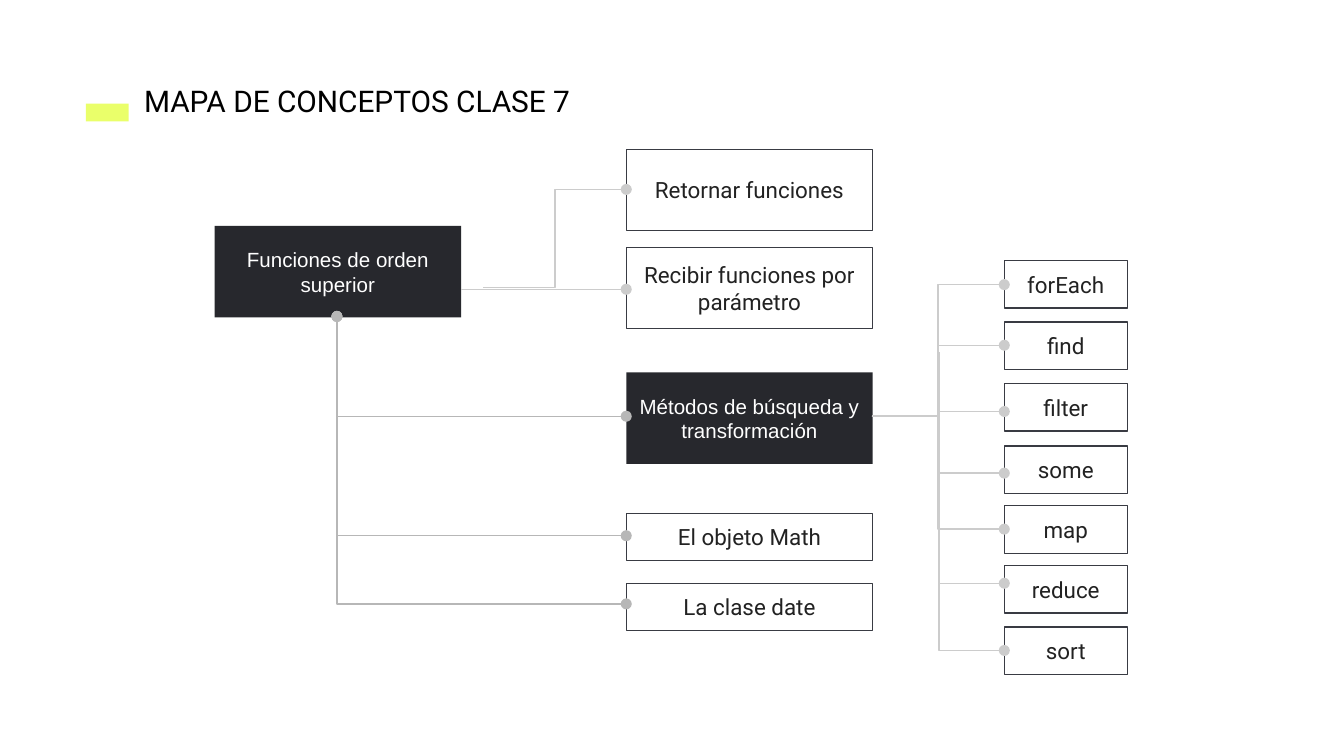
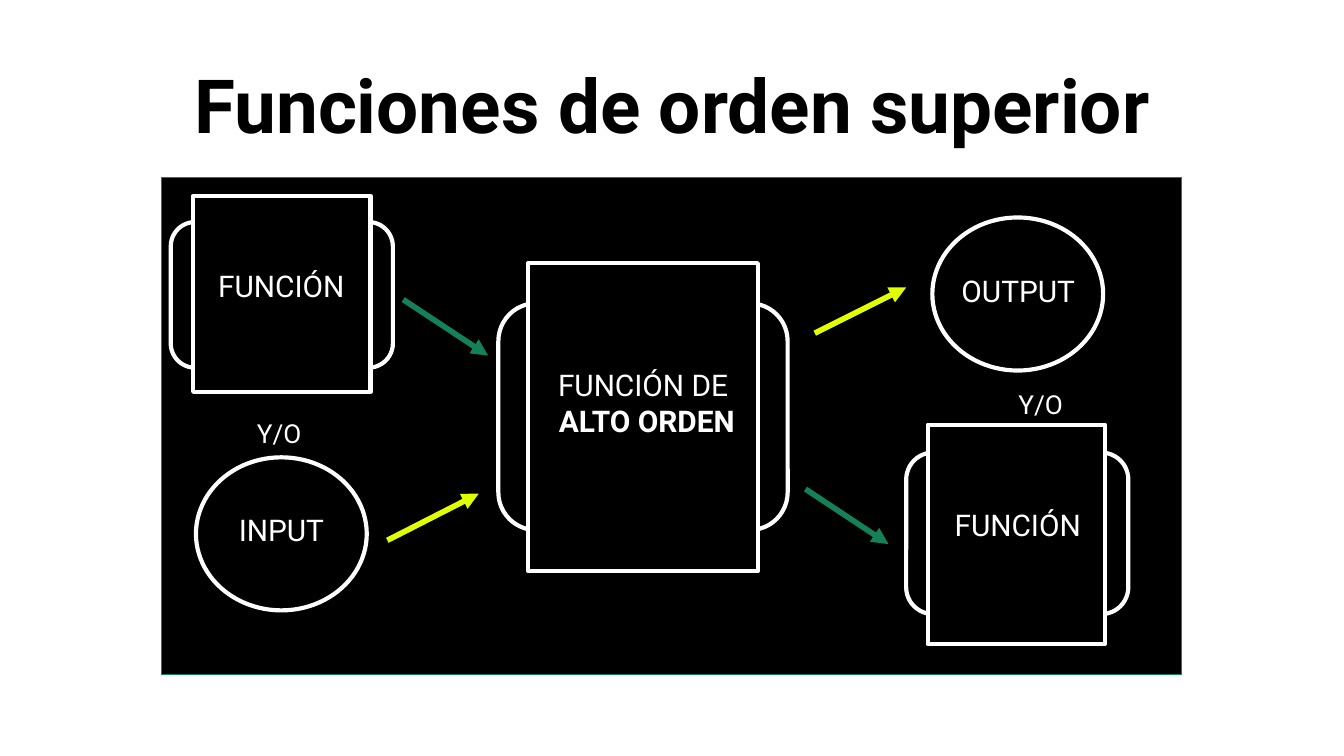
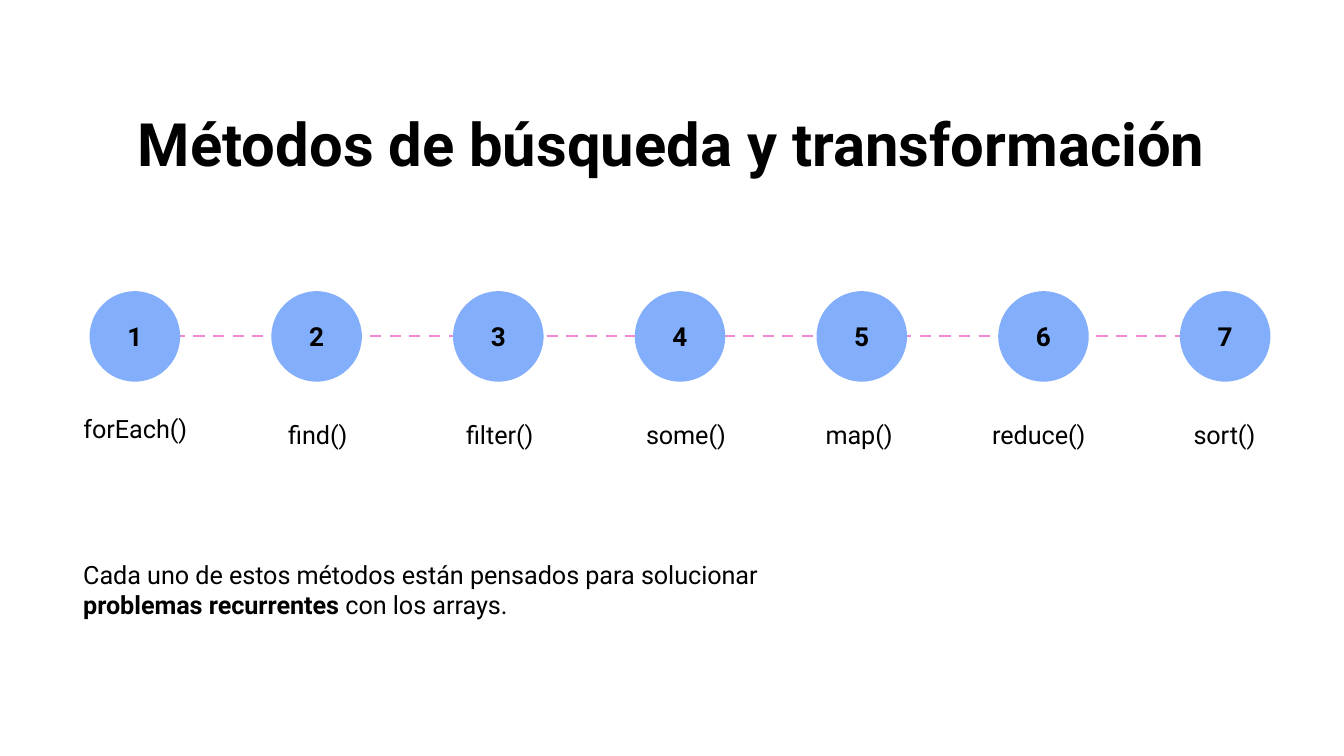
"""Build three slides on higher-order functions and array methods."""
from lxml import etree
from pptx import Presentation
from pptx.dml.color import RGBColor
from pptx.enum import dml, shapes, text
from pptx.oxml.ns import qn
from pptx.util import Pt

BLACK = RGBColor(0x00, 0x00, 0x00)
WHITE = RGBColor(0xFF, 0xFF, 0xFF)
LIME = RGBColor(0xEA, 0xFF, 0x6A)
DARK = RGBColor(0x27, 0x28, 0x2D)
BORDER = RGBColor(0x39, 0x3B, 0x43)
INK = RGBColor(0x22, 0x22, 0x22)
PALE_GRAY = RGBColor(0xCC, 0xCC, 0xCC)
GRAY = RGBColor(0xB7, 0xB7, 0xB7)
GREEN = RGBColor(0x15, 0x81, 0x58)
YELLOW = RGBColor(0xE0, 0xFF, 0x00)
BLUE = RGBColor(0x83, 0xAE, 0xFB)
PINK = RGBColor(0xEF, 0x89, 0xD2)

SHAPE = shapes.MSO_SHAPE
CENTER, LEFT = text.PP_ALIGN.CENTER, text.PP_ALIGN.LEFT
TOP, MIDDLE = text.MSO_ANCHOR.TOP, text.MSO_ANCHOR.MIDDLE


def box(s, kind, rect, txt="", size=12, color=BLACK, fill=None, line=None, weight=0.75,
        bold=False, font="Roboto", align=CENTER, anchor=MIDDLE, spacing=None):
    """Place a preset shape, a "text" box or the "title", with its text."""
    x, y, w, h = [Pt(v) for v in rect]
    if kind == "title":
        sp = s.shapes.title
        sp.left, sp.top, sp.width, sp.height = x, y, w, h
    elif kind == "text":
        sp = s.shapes.add_textbox(x, y, w, h)
    else:
        sp = s.shapes.add_shape(kind, x, y, w, h)
        sp.shadow.inherit = False
        if fill is None:
            sp.fill.background()
        else:
            sp.fill.solid()
            sp.fill.fore_color.rgb = fill
        if line is None:
            sp.line.fill.background()
        else:
            sp.line.color.rgb = line
            sp.line.width = Pt(weight)
    if txt:
        tf = sp.text_frame
        tf.text = txt
        tf.word_wrap = True
        tf.vertical_anchor = anchor
        tf.margin_left = tf.margin_right = tf.margin_top = tf.margin_bottom = Pt(7.2)
        for p in tf.paragraphs:
            p.alignment = align
            if spacing:
                p.line_spacing = spacing
            p.font.name, p.font.size, p.font.bold = font, Pt(size), bold
            p.font.color.rgb = color
    return sp


def link(s, kind, start, end, color, weight=0.75, head=None, tail=None):
    """Draw a connector; "corner" runs down from the start, then across."""
    (x1, y1), (x2, y2) = start, end
    if kind == "corner":
        cx, cy, dx, dy = (x1 + x2) / 2, (y1 + y2) / 2, x2 - x1, y2 - y1
        x1, x2, y1, y2 = cx + dy / 2, cx - dy / 2, cy - dx / 2, cy + dx / 2
    mso = shapes.MSO_CONNECTOR.STRAIGHT if kind == "straight" else shapes.MSO_CONNECTOR.ELBOW
    c = s.shapes.add_connector(mso, Pt(x1), Pt(y1), Pt(x2), Pt(y2))
    c.line.color.rgb = color
    c.line.width = Pt(weight)
    spPr = c._element.spPr
    if kind == "corner":
        spPr.find(qn("a:xfrm")).set("rot", "16200000")
        spPr.find(qn("a:prstGeom")).set("prst", "bentConnector2")
    for tag, end_type in (("a:headEnd", head), ("a:tailEnd", tail)):
        if end_type:
            etree.SubElement(spPr.find(qn("a:ln")), qn(tag), type=end_type)
    etree.SubElement(spPr, qn("a:effectLst"))
    return c


prs = Presentation()
prs.slide_width, prs.slide_height = Pt(720), Pt(405)

titles = [
    ("MAPA DE CONCEPTOS CLASE 7", (70, 37, 251, 34), 16, False, LEFT, 1),
    ("Funciones de orden superior", (37.5, 29.5, 645, 58.5), 40, True, CENTER, 0.9),
    ("Métodos de búsqueda y transformación", (37.5, 54.5, 645, 50), 32, True, CENTER, 0.9),
]
slides = []
for txt, rect, size, bold, align, spacing in titles:
    s = prs.slides.add_slide(prs.slide_layouts[5])
    sp = box(s, "title", rect, txt, size, bold=bold, align=align, anchor=TOP, spacing=spacing)
    sp.text_frame.auto_size = text.MSO_AUTO_SIZE.SHAPE_TO_FIT_TEXT
    slides.append(s)
concept_map, diagram, timeline = slides

s = concept_map
box(s, SHAPE.RECTANGLE, (46, 55.5, 23, 9.5), fill=LIME)
for x, y, txt in [(115, 121, "Funciones de orden superior"),
                  (335.5, 199.5, "Métodos de búsqueda y transformación")]:
    box(s, SHAPE.RECTANGLE, (x, y, 132, 49), txt, 11, WHITE, fill=DARK, font="Arial")
for y, h, txt in [(80, 43.5, "Retornar funciones"),
                  (132.5, 43.5, "Recibir funciones por parámetro"),
                  (275, 25.5, "El objeto Math"),
                  (312.5, 25.5, "La clase date")]:
    box(s, SHAPE.RECTANGLE, (335.5, y, 132, h), txt, color=INK, line=BORDER)
for start, end in [((259, 154), (335.5, 101.5)), ((247, 155), (335.5, 155))]:
    link(s, "elbow", start, end, PALE_GRAY, tail="oval")
for y in (223, 287, 323.5):
    link(s, "corner", (180.5, 169.5), (335.5, y), GRAY, head="oval", tail="oval")

hub = (467, 223)
methods = [
    ("forEach", 139.5, "elbow", hub, 152.5),
    ("find", 172.5, "elbow", hub, 185),
    ("filter", 205.5, "elbow", hub, 220.5),
    ("some", 239, "elbow", hub, 253.5),
    ("map", 271, "elbow", hub, 283.5),
    ("reduce", 303, "corner", (503, 188.5), 312.5),
    ("sort", 336, "corner", (503, 224.5), 348.5),
]
for txt, y, kind, start, end_y in methods:
    box(s, SHAPE.RECTANGLE, (538, y, 66, 25.5), txt, color=INK, line=BORDER)
    link(s, kind, start, (538, end_y), PALE_GRAY, tail="oval")

s = diagram
box(s, SHAPE.RECTANGLE, (86.5, 95, 546.5, 266.5), fill=BLACK, line=GREEN)
for kind, rect in [
    (SHAPE.ROUNDED_RECTANGLE, (267, 162.5, 155, 121.5)),
    (SHAPE.RECTANGLE, (283, 141, 123, 165)),
    (SHAPE.ROUNDED_RECTANGLE, (91.5, 119, 119, 78)),
    (SHAPE.RECTANGLE, (103.5, 105, 95, 105)),
    (SHAPE.ROUNDED_RECTANGLE, (485.5, 242.5, 119, 86.5)),
    (SHAPE.RECTANGLE, (497, 227.5, 95, 117.5)),
    (SHAPE.OVAL, (105, 245, 91.5, 82)),
    (SHAPE.OVAL, (499.5, 116.5, 91.5, 82)),
]:
    box(s, kind, rect, fill=BLACK, line=WHITE, weight=2.25)
for txt, rect in [("FUNCIÓN", (107.5, 136, 86.5, 43)), ("FUNCIÓN", (502, 264, 86.5, 43)),
                  ("INPUT", (114, 267, 73.5, 37.5)), ("OUTPUT", (507, 139, 77, 37.5))]:
    box(s, "text", rect, txt, 16, WHITE, anchor=TOP)
sp = box(s, "text", (280, 189.5, 129, 68.5), "FUNCIÓN DE\n ALTO ORDEN", 16, WHITE, anchor=TOP)
sp.text_frame.paragraphs[1].font.bold = True
for rect in [(130.5, 216.5, 60, 16.5), (538.5, 201, 39.5, 16.5)]:
    box(s, "text", rect, "Y/O", 14, WHITE, align=LEFT, anchor=TOP)
for start, end, color in [((216, 160.5), (261.5, 190.5), GREEN),
                          ((207.5, 289.5), (256.5, 264.5), YELLOW),
                          ((436.5, 178.5), (485.5, 154), YELLOW),
                          ((431.5, 262), (476, 291.5), GREEN)]:
    link(s, "straight", start, end, color, 3, tail="triangle")

s = timeline
c = link(s, "straight", (51, 180), (677.5, 180), PINK, 1.5)
c.line.dash_style = dml.MSO_LINE.DASH
steps = [("forEach()", 33, 79, 29), ("find()", 142.5, 55.5, 35.5), ("filter()", 240, 55.5, 35.5),
         ("some()", 337, 61, 35.5), ("map()", 432.5, 55.5, 35.5), ("reduce()", 517, 79, 35.5),
         ("sort()", 625.5, 61, 35.5)]
for i, (txt, x, w, h) in enumerate(steps):
    box(s, SHAPE.OVAL, (48 + 97.35 * i, 156, 48.5, 48.5), str(i + 1), 14, fill=BLUE, bold=True)
    box(s, "text", (x, 214, w, h), txt, 13.5, spacing=1.15)
sp = box(s, "text", (37.5, 292.5, 400, 47.5),
         "Cada uno de estos métodos están pensados para solucionar ",
         13.5, align=LEFT, anchor=TOP)
sp.text_frame.auto_size = text.MSO_AUTO_SIZE.SHAPE_TO_FIT_TEXT
p = sp.text_frame.paragraphs[0]
for txt, bold in [("problemas recurrentes", True), (" con los arrays.", False)]:
    r = p.add_run()
    r.text = txt
    r.font.bold = bold

prs.save("out.pptx")
